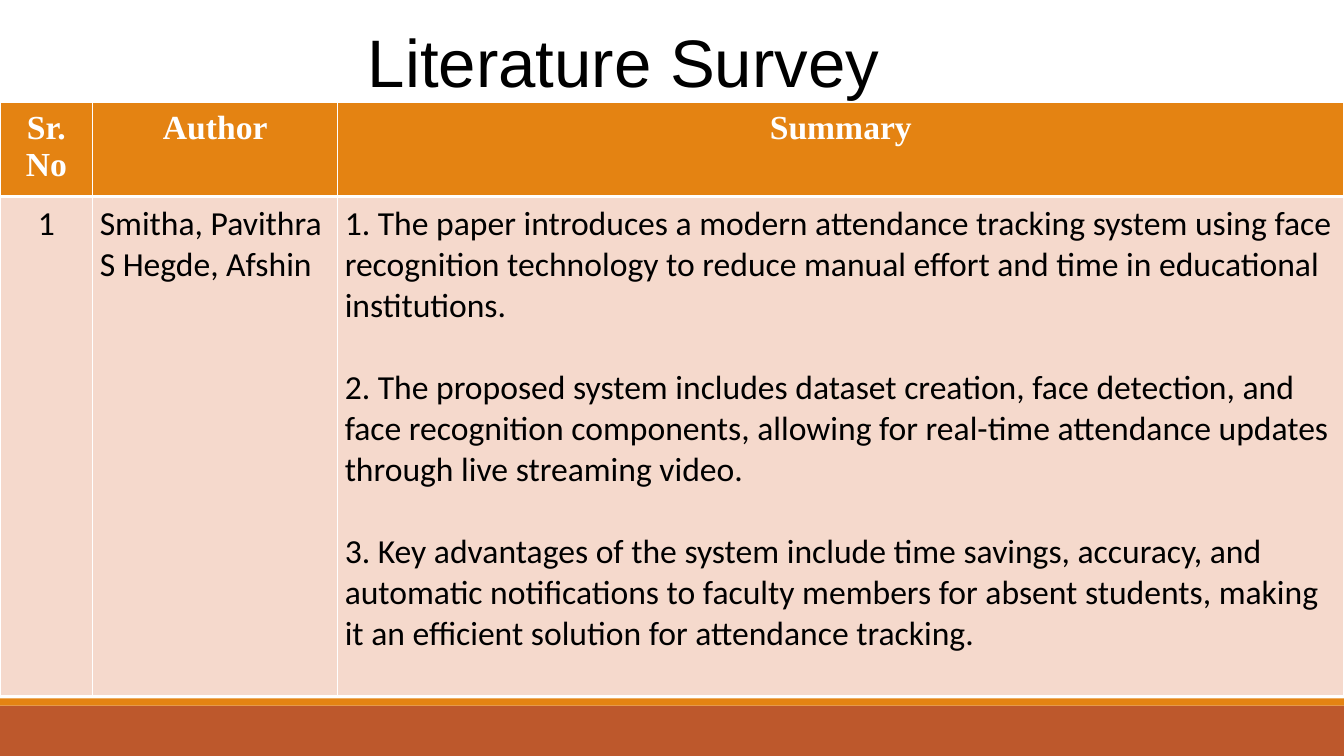
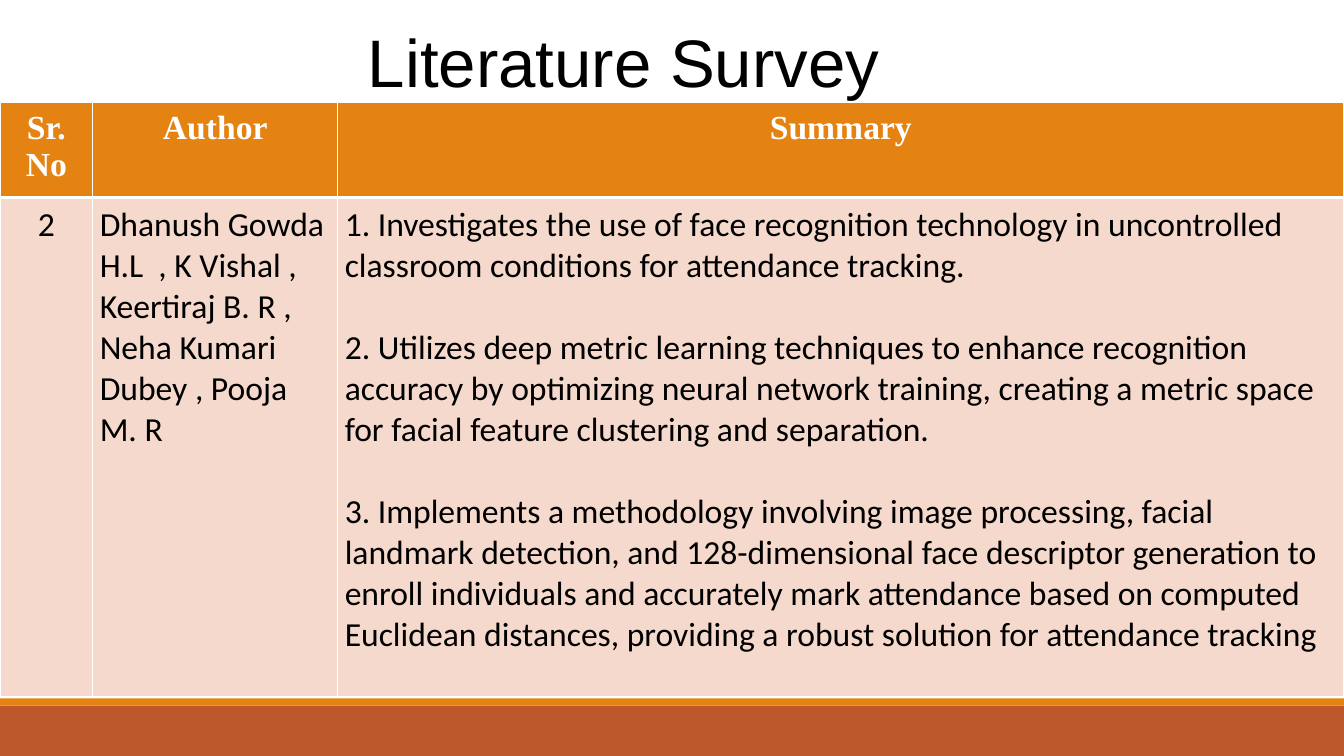
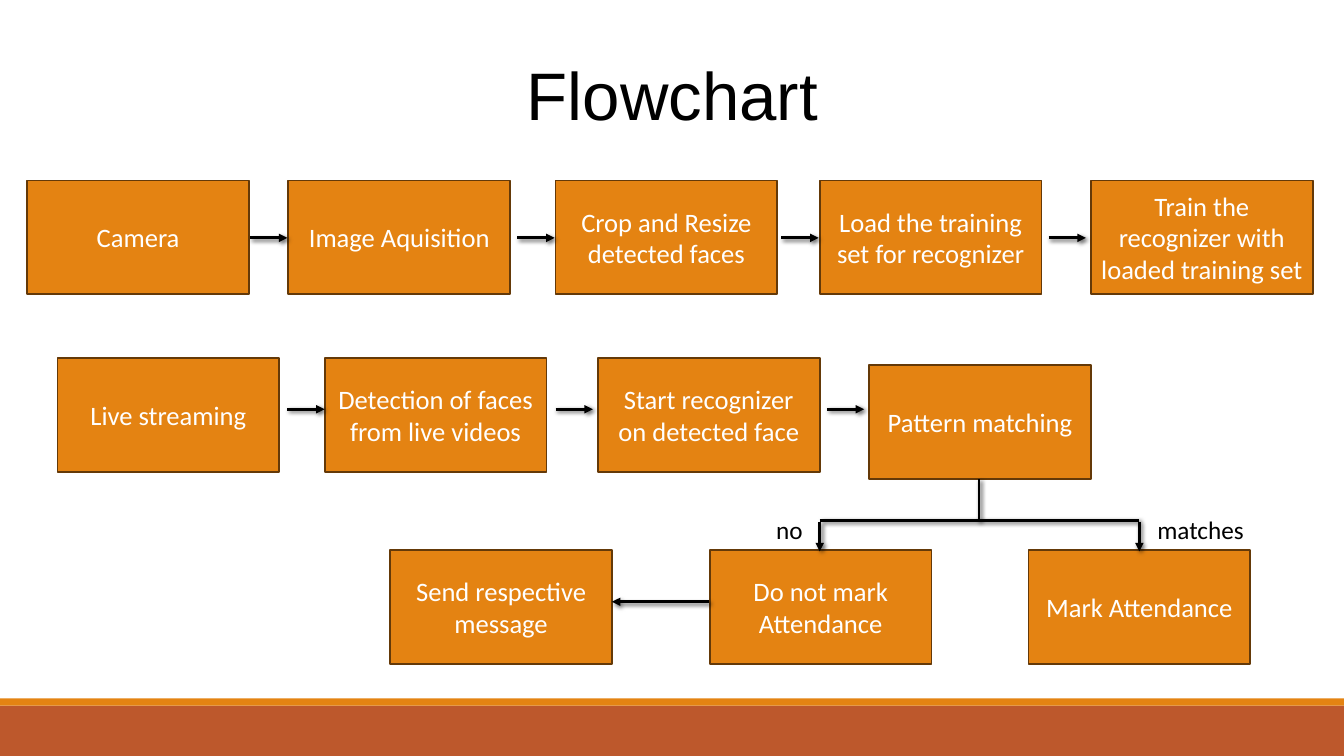
from dataclasses import dataclass
from itertools import product
from typing import NamedTuple

from lxml import etree
from pptx import Presentation
from pptx.dml.color import RGBColor
from pptx.enum.shapes import MSO_CONNECTOR, MSO_SHAPE
from pptx.enum.text import MSO_ANCHOR, MSO_AUTO_SIZE, PP_ALIGN
from pptx.oxml.ns import qn
from pptx.util import Emu, Pt

RECTANGLE = MSO_SHAPE.RECTANGLE
STRAIGHT = MSO_CONNECTOR.STRAIGHT
MIDDLE = MSO_ANCHOR.MIDDLE
GROW = MSO_AUTO_SIZE.SHAPE_TO_FIT_TEXT
LEFT, CENTER, RIGHT = PP_ALIGN.LEFT, PP_ALIGN.CENTER, PP_ALIGN.RIGHT
EMU_PER_PX = 9144


class TextStyle(NamedTuple):
    name: str
    size: int
    color: str
    bold: bool = False


@dataclass(frozen=True)
class Theme:
    orange: str = "E48312"
    rust: str = "BD582C"
    brown: str = "643908"
    peach: str = "F5D9CC"
    white: str = "FFFFFF"
    black: str = "000000"
    title: TextStyle = TextStyle("Arial", 48, "000000")
    header: TextStyle = TextStyle("Times New Roman", 24, "FFFFFF", True)
    body: TextStyle = TextStyle("Calibri", 24, "000000")
    step: TextStyle = TextStyle("Calibri", 19, "FFFFFF")
    label: TextStyle = TextStyle("Calibri", 18, "000000")
    box_line: float = 1.25
    arrow_line: float = 2
    thin_border: float = 1
    thick_border: float = 3
    paragraph_gap: float = 29.3


THEME = Theme()


class Area(NamedTuple):
    left: int
    top: int
    width: int
    height: int


class Step(NamedTuple):
    left: int
    top: int
    text: str


class Link(NamedTuple):
    start_x: int
    start_y: int
    end_x: int
    end_y: int
    arrow: bool = True


class Caption(NamedTuple):
    area: Area
    text: str
    align: PP_ALIGN


@dataclass(frozen=True)
class Paper:
    number: str
    authors: str
    summary: tuple[str, ...]


PAGE_WIDTH, PAGE_HEIGHT = 1333, 750
BANDS = (
    (Area(0, 700, PAGE_WIDTH, 50), THEME.rust),
    (Area(0, 693, PAGE_WIDTH, 7), THEME.orange),
)
SURVEY_TITLE = Caption(Area(355, 15, 623, 91), "Literature Survey", LEFT)
FLOW_TITLE = Caption(Area(492, 48, 350, 91), "Flowchart", CENTER)
TABLE_AREA = Area(0, 102, PAGE_WIDTH, 588)
COLUMN_WIDTHS = (92, 243, 998)
ROW_HEIGHTS = (93, 495)
CELL_MARGIN = 7
HEADINGS = ("Sr. No", "Author", "Summary")
COLUMN_ALIGNS = (CENTER, LEFT, LEFT)

PAPERS = (
    Paper(
        "1",
        "Smitha, Pavithra S Hegde, Afshin",
        (
            "1. The paper introduces a modern attendance tracking system using face "
            "recognition technology to reduce manual effort and time in educational "
            "institutions.",
            "2. The proposed system includes dataset creation, face detection, and face "
            "recognition components, allowing for real-time attendance updates through "
            "live streaming video.",
            "3. Key advantages of the system include time savings, accuracy, and automatic "
            "notifications to faculty members for absent students, making it an efficient "
            "solution for attendance tracking.",
        ),
    ),
    Paper(
        "2",
        "Dhanush Gowda H.L  , K Vishal , Keertiraj B. R , Neha Kumari Dubey , Pooja M. R",
        (
            "1. Investigates the use of face recognition technology in uncontrolled "
            "classroom conditions for attendance tracking.",
            "2. Utilizes deep metric learning techniques to enhance recognition accuracy by "
            "optimizing neural network training, creating a metric space for facial feature "
            "clustering and separation.",
            "3. Implements a methodology involving image processing, facial landmark "
            "detection, and 128-dimensional face descriptor generation to enroll individuals "
            "and accurately mark attendance based on computed Euclidean distances, providing "
            "a robust solution for attendance tracking",
        ),
    ),
)

STEP_WIDTH, STEP_HEIGHT = 220, 113
TRAIN_TOP, LIVE_TOP, MATCH_TOP, RESULT_TOP = 179, 355, 362, 546
STEPS = (
    Step(27, TRAIN_TOP, "Camera"),
    Step(286, TRAIN_TOP, "Image Aquisition"),
    Step(551, TRAIN_TOP, "Crop and Resize detected faces"),
    Step(813, TRAIN_TOP, "Load the training set for recognizer"),
    Step(1082, TRAIN_TOP, "Train the recognizer with loaded training set"),
    Step(57, LIVE_TOP, "Live streaming"),
    Step(322, LIVE_TOP, "Detection of faces from live videos"),
    Step(593, LIVE_TOP, "Start recognizer on detected face"),
    Step(862, MATCH_TOP, "Pattern matching"),
    Step(387, RESULT_TOP, "Send respective message"),
    Step(704, RESULT_TOP, "Do not mark Attendance"),
    Step(1020, RESULT_TOP, "Mark Attendance"),
)
ARROW_LENGTH = 37
ARROW_STARTS = {236: (248, 513, 775, 1040), 406: (285, 551, 820)}
BRANCH_Y = 516
BRANCH_ENDS = (813, 1130)
LINKS = (
    *(
        Link(x, y, x + ARROW_LENGTH, y)
        for y, starts in ARROW_STARTS.items()
        for x in starts
    ),
    Link(703, 597, 607, 597),
    *(Link(x, BRANCH_Y + 2, x, RESULT_TOP + 1) for x in BRANCH_ENDS),
    Link(BRANCH_ENDS[0], BRANCH_Y, BRANCH_ENDS[1], BRANCH_Y, False),
    Link(971, MATCH_TOP + STEP_HEIGHT, 971, BRANCH_Y + 1, False),
)
LABELS = (
    Caption(Area(1138, 505, 131, 40), "matches", LEFT),
    Caption(Area(675, 505, 131, 40), "no", RIGHT),
)


def px(length: int) -> Emu:
    return Emu(length * EMU_PER_PX)


def place(area: Area) -> tuple[Emu, ...]:
    return tuple(px(length) for length in area)


def rgb(color: str) -> RGBColor:
    return RGBColor.from_string(color)


def child(parent, tag: str, **values):
    return etree.SubElement(
        parent, qn(tag), {key: str(value) for key, value in values.items()}
    )


def paint(target, color: str) -> None:
    target.fill.solid()
    target.fill.fore_color.rgb = rgb(color)


def write(frame, lines: tuple[str, ...], style: TextStyle, align: PP_ALIGN) -> None:
    formats = {"name": style.name, "size": Pt(style.size), "bold": style.bold}
    for index, line in enumerate(lines):
        para = frame.add_paragraph() if index else frame.paragraphs[0]
        para.alignment = align
        if index:
            para.space_before = Pt(THEME.paragraph_gap)
        span = para.add_run()
        span.text = line
        for key, value in formats.items():
            setattr(span.font, key, value)
        span.font.color.rgb = rgb(style.color)


def add_rectangle(page, area: Area, color: str):
    box = page.shapes.add_shape(RECTANGLE, *place(area))
    box.shadow.inherit = False
    box.line.fill.background()
    paint(box, color)
    return box


def add_caption(page, caption: Caption, style: TextStyle) -> None:
    frame = page.shapes.add_textbox(*place(caption.area)).text_frame
    frame.word_wrap = True
    frame.auto_size = GROW
    write(frame, (caption.text,), style, caption.align)


def add_step(page, step: Step) -> None:
    area = Area(step.left, step.top, STEP_WIDTH, STEP_HEIGHT)
    box = add_rectangle(page, area, THEME.orange)
    box.line.color.rgb = rgb(THEME.brown)
    box.line.width = Pt(THEME.box_line)
    box.text_frame.word_wrap = True
    box.text_frame.vertical_anchor = MIDDLE
    write(box.text_frame, (step.text,), THEME.step, CENTER)


def add_link(page, link: Link) -> None:
    connector = page.shapes.add_connector(STRAIGHT, *(px(value) for value in link[:4]))
    connector.line.color.rgb = rgb(THEME.black)
    connector.line.width = Pt(THEME.arrow_line)
    properties = connector.element.spPr
    if link.arrow:
        child(properties.find(qn("a:ln")), "a:tailEnd", type="triangle")
    shadow = child(
        child(properties, "a:effectLst"),
        "a:outerShdw",
        blurRad=Pt(3),
        dist=Pt(2),
        dir=45 * 60000,
        rotWithShape=0,
    )
    child(child(shadow, "a:srgbClr", val=THEME.black), "a:alpha", val=60000)


def set_borders(cell, is_header: bool) -> None:
    thin, thick = THEME.thin_border, THEME.thick_border
    widths = {
        "a:lnL": thin,
        "a:lnR": thin,
        "a:lnT": thin if is_header else thick,
        "a:lnB": thick if is_header else thin,
    }
    properties = cell._tc.get_or_add_tcPr()
    for tag, width in widths.items():
        border = child(properties, tag, w=Pt(width))
        child(child(border, "a:solidFill"), "a:srgbClr", val=THEME.white)


def add_survey_table(page, paper: Paper) -> None:
    table = page.shapes.add_table(
        len(ROW_HEIGHTS), len(COLUMN_WIDTHS), *place(TABLE_AREA)
    ).table
    table.first_row = False
    table.horz_banding = False
    for column, width in zip(table.columns, COLUMN_WIDTHS):
        column.width = px(width)
    for row, height in zip(table.rows, ROW_HEIGHTS):
        row.height = px(height)
    contents = (
        tuple((heading,) for heading in HEADINGS),
        ((paper.number,), (paper.authors,), paper.summary),
    )
    for row, column in product(range(len(ROW_HEIGHTS)), range(len(COLUMN_WIDTHS))):
        is_header = row == 0
        cell = table.cell(row, column)
        for side in ("left", "right", "top", "bottom"):
            setattr(cell, f"margin_{side}", px(CELL_MARGIN))
        set_borders(cell, is_header)
        paint(cell, THEME.orange if is_header else THEME.peach)
        write(
            cell.text_frame,
            contents[row][column],
            THEME.header if is_header else THEME.body,
            CENTER if is_header else COLUMN_ALIGNS[column],
        )


def add_bands(page) -> None:
    for area, color in BANDS:
        band = add_rectangle(page, area, color)
        page.slide_layout.shapes.element.append(band.element)


def build_survey(page, paper: Paper) -> None:
    add_survey_table(page, paper)
    add_caption(page, SURVEY_TITLE, THEME.title)


def build_flowchart(page) -> None:
    for step in STEPS:
        add_step(page, step)
    add_caption(page, FLOW_TITLE, THEME.title)
    for link in LINKS:
        add_link(page, link)
    for label in LABELS:
        add_caption(page, label, THEME.label)


def main() -> None:
    deck = Presentation()
    deck.slide_width, deck.slide_height = px(PAGE_WIDTH), px(PAGE_HEIGHT)
    blank = deck.slide_layouts[6]
    pages = [deck.slides.add_slide(blank) for _ in range(len(PAPERS) + 1)]
    add_bands(pages[0])
    for page, paper in zip(pages, PAPERS):
        build_survey(page, paper)
    build_flowchart(pages[-1])
    deck.save("out.pptx")


if __name__ == "__main__":
    main()
